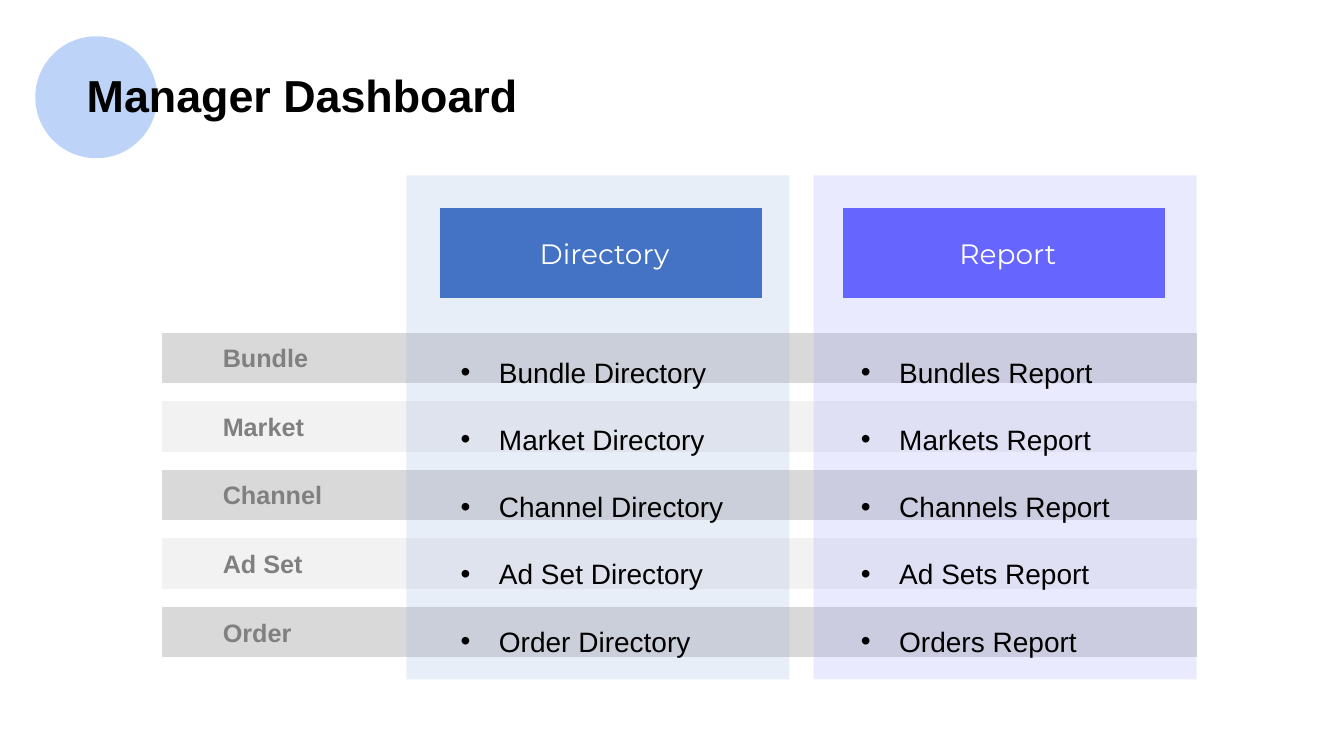
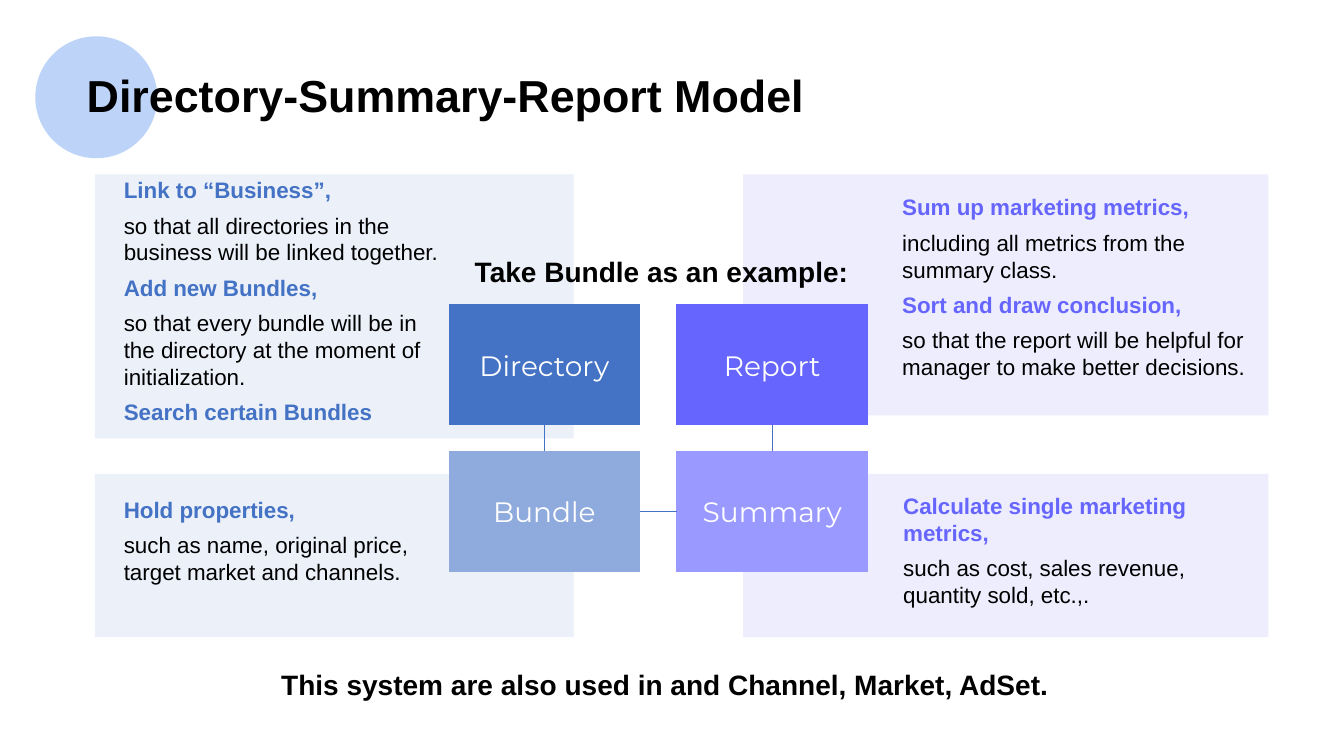
"""Build the two dashboard slides."""
from lxml import etree
from pptx import Presentation, util as u
from pptx.dml.color import RGBColor
from pptx.enum import shapes, text
from pptx.oxml.ns import qn

BLACK = RGBColor(0x00, 0x00, 0x00)
WHITE = RGBColor(0xFF, 0xFF, 0xFF)
GREY = RGBColor(0x80, 0x80, 0x80)
DARK = RGBColor(0xD9, 0xD9, 0xD9)
PALE = RGBColor(0xF2, 0xF2, 0xF2)
SKY = RGBColor(0xBD, 0xD4, 0xF8)
BLUE = RGBColor(0x44, 0x72, 0xC4)
STEEL = RGBColor(0x8F, 0xAA, 0xDC)
ICE = RGBColor(0xEB, 0xF0, 0xF9)
VIOLET = RGBColor(0x66, 0x66, 0xFF)
LILAC = RGBColor(0x99, 0x99, 0xFF)
MIST = RGBColor(0xED, 0xED, 0xFD)

RECT = shapes.MSO_SHAPE.RECTANGLE
FLOW = shapes.MSO_SHAPE.FLOWCHART_PROCESS
MID = {"vertical_anchor": text.MSO_ANCHOR.MIDDLE}
TOP = {"vertical_anchor": text.MSO_ANCHOR.TOP}
GROW = {**TOP, "auto_size": text.MSO_AUTO_SIZE.SHAPE_TO_FIT_TEXT}
LEFT = {"alignment": text.PP_ALIGN.LEFT}
CENTER = {"alignment": text.PP_ALIGN.CENTER}
HEAD = {**LEFT, "line_spacing": 0.9, "space_before": u.Pt(10)}
NOTE = {**LEFT, "space_before": u.Pt(6)}
LIST = {**LEFT, "line_spacing": 2.0}
SLIM = (0.1, 0.05, 0.1, 0.05)
EVEN = (0.1, 0.1, 0.1, 0.1)


def box(slide, kind, at, fill=None, alpha=None):
    """Add a filled shape, or a text box when no kind is given."""
    area = [u.Inches(n) for n in at]
    if kind is None:
        return slide.shapes.add_textbox(*area)
    item = slide.shapes.add_shape(kind, *area)
    item.shadow.inherit = False
    item.line.fill.background()
    item.fill.solid()
    item.fill.fore_color.rgb = fill
    if alpha:
        tone = item.element.spPr.find(".//" + qn("a:srgbClr"))
        etree.SubElement(tone, qn("a:alpha"), val=str(alpha * 1000))
    return item


def write(item, rows, size, body=TOP, para=LEFT, pad=SLIM, face="Arial"):
    """Fill a shape with rows of words, colour and weight."""
    frame = item.text_frame
    frame.word_wrap = True
    sides = ("margin_left", "margin_top", "margin_right", "margin_bottom")
    for key, val in {**dict(zip(sides, map(u.Inches, pad))), **body}.items():
        setattr(frame, key, val)
    for i, (words, color, bold) in enumerate(rows):
        line = frame.add_paragraph() if i else frame.paragraphs[0]
        for key, val in para.items():
            setattr(line, key, val)
        run = line.add_run()
        run.text = words
        run.font.color.rgb = color
        for key, val in {"size": u.Pt(size), "name": face, "bold": bold}.items():
            setattr(run.font, key, val)


deck = Presentation()
deck.slide_width, deck.slide_height = u.Inches(13.33), u.Inches(7.5)
plan = deck.slide_layouts[5]

pages = []
for name, wide in (("Manager Dashboard", 4.73),
                   ("Directory-Summary-Report Model", 7.75)):
    page = deck.slides.add_slide(plan)
    title = page.shapes.title
    area = {"left": 0.76, "top": 0.68, "width": wide, "height": 0.59}
    for key, val in area.items():
        setattr(title, key, u.Inches(val))
    write(title, [(name, BLACK, True)], 32, GROW, HEAD)
    pages.append(page)
board, model = pages

disc = box(board, shapes.MSO_SHAPE.OVAL, (0.35, 0.36, 1.21, 1.21), SKY)
plan.shapes.element.insert(2, disc.element)

themes = ("Bundle", "Market", "Channel", "Ad Set", "Order")
for i, name in enumerate(themes):
    band = box(board, FLOW, (1.61, 3.3 + 0.68 * i, 10.26, 0.5), (DARK, PALE)[i % 2])
    write(band, [(name, GREY, True)], 18, MID, pad=(0.6, 0.05, 0.1, 0.05))

columns = (
    ("Directory", "", 4.03, STEEL, 4.36, BLUE, (4.47, 3.09, 3.25, 3.66)),
    ("Report", "s", 8.07, LILAC, 8.36, VIOLET, (8.44, 3.09, 2.79, 3.44)),
)
for name, end, left, tint, inner, fill, at in columns:
    box(board, RECT, (left, 1.74, 3.8, 5), tint, 20)
    items = box(board, None, at)
    rows = [(f"{theme}{end} {name}", BLACK, False) for theme in themes]
    write(items, rows, 20, para=LIST, pad=EVEN)
    for line in items.text_frame.paragraphs:
        props = line._p.get_or_add_pPr()
        props.set("marL", str(u.Inches(0.38)))
        props.set("indent", str(-u.Inches(0.38)))
        etree.SubElement(props, qn("a:buFont"), typeface="Arial")
        etree.SubElement(props, qn("a:buChar"), char="•")
    head = box(board, FLOW, (inner, 2.06, 3.2, 0.9), fill)
    write(head, [(" " + name, WHITE, False)], 20, MID, CENTER, face="Montserrat")

panels = (
    ((7.37, 4.7, 5.21, 1.62), MIST, (8.86, 4.78, 3.56, 1.4), VIOLET,
     ("Calculate single marketing metrics,",
      "such as cost, sales revenue, quantity sold, etc.,.")),
    ((7.37, 1.73, 5.21, 2.39), MIST, (8.85, 1.82, 3.62, 2.39), VIOLET,
     ("Sum up marketing metrics,",
      "including all metrics from the summary class.",
      "Sort and draw conclusion,",
      "so that the report will be helpful for manager to make better decisions.")),
    ((0.94, 4.7, 4.75, 1.62), ICE, (1.13, 4.82, 3.46, 1.4), BLUE,
     ("Hold properties,",
      "such as name, original price, target market and channels.")),
    ((0.94, 1.73, 4.75, 2.62), ICE, (1.13, 1.65, 3.43, 2.42), BLUE,
     ("Link to “Business”,",
      "so that all directories in the business will be linked together.",
      "Add new Bundles,",
      "so that every bundle will be in the directory at the moment of initialization.",
      "Search certain Bundles")),
)
for area, fill, at, color, lines in panels:
    box(model, RECT, area, fill)
    rows = [(words, BLACK if i % 2 else color, i % 2 == 0)
            for i, words in enumerate(lines)]
    write(box(model, None, at), rows, 16, para=NOTE, pad=EVEN)

cards = (("Directory", BLUE), ("Report", VIOLET), ("Bundle", STEEL), ("Summary", LILAC))
for i, (name, fill) in enumerate(cards):
    row, col = divmod(i, 2)
    card = box(model, FLOW, (4.45 + 2.26 * col, 3.02 + 1.45 * row, 1.9, 1.2), fill)
    write(card, [(name, WHITE, False)], 20, MID, CENTER, face="Montserrat")

for words, at in (
        ("Take Bundle as an example:", (4.61, 2.51, 4.18, 0.4)),
        ("This system are also used in and Channel, Market, AdSet.",
         (2.69, 6.61, 7.89, 0.4))):
    write(box(model, None, at), [(words, BLACK, True)], 20, GROW, HEAD)

for ends in ((5.4, 4.22, 5.4, 4.47), (6.35, 5.07, 6.71, 5.07), (7.66, 4.22, 7.66, 4.47)):
    link = model.shapes.add_connector(
        shapes.MSO_CONNECTOR.STRAIGHT, *[u.Inches(n) for n in ends])
    link.line.color.rgb = BLUE
    link.line.width = u.Pt(0.5)
    etree.SubElement(link.element.spPr, qn("a:effectLst"))

deck.save("out.pptx")
